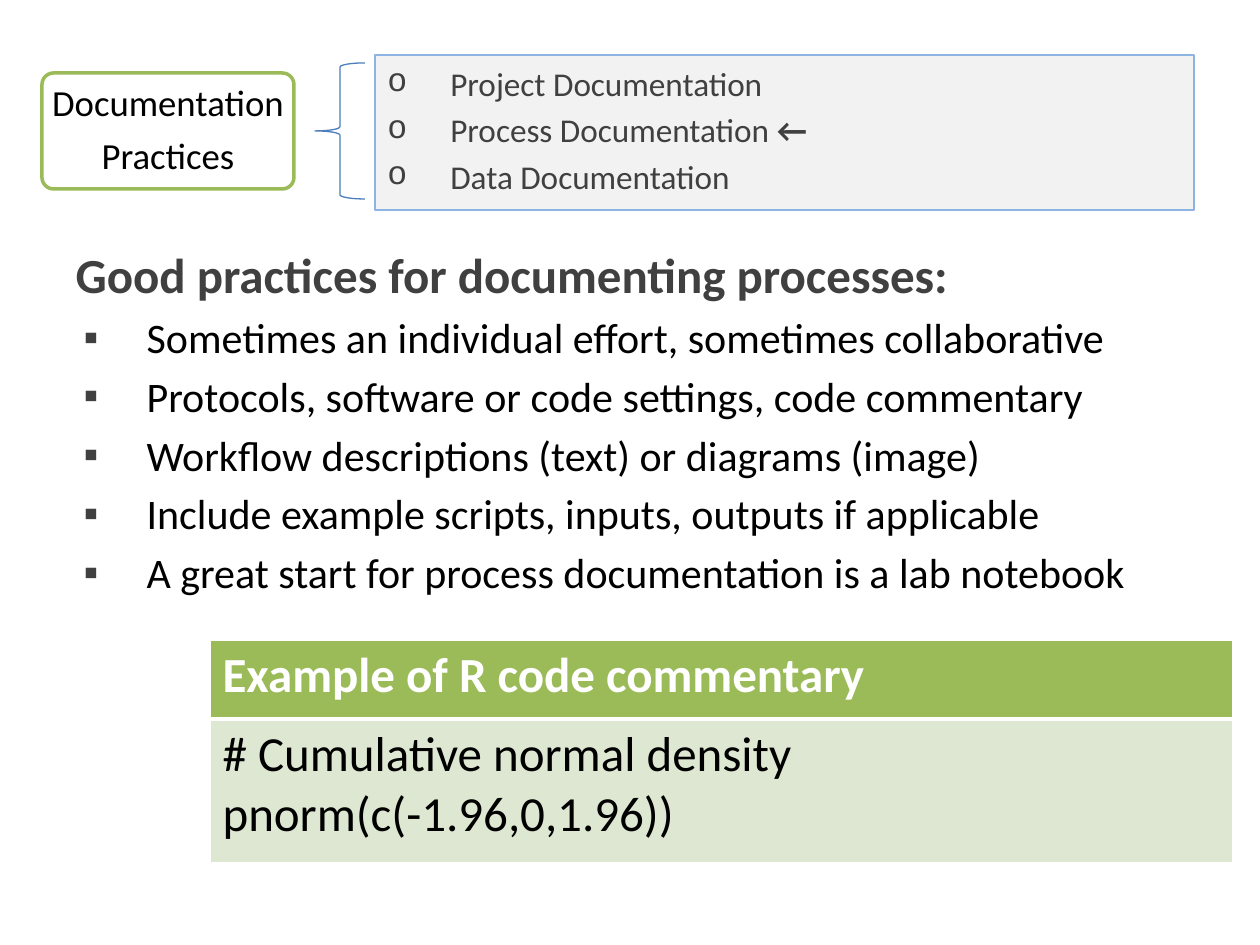
from dataclasses import dataclass

from lxml import etree
from pptx import Presentation
from pptx import util as u
from pptx.dml.color import RGBColor
from pptx.enum import shapes, text
from pptx.oxml.ns import qn

EMU_PER_PX = 914400 / 126


@dataclass(frozen=True)
class Theme:
    font: str = "Calibri"
    black: str = "000000"
    white: str = "FFFFFF"
    gray: str = "404040"
    pale_gray: str = "F2F2F2"
    green: str = "9BBB59"
    pale_green: str = "DEE7D1"
    blue: str = "4B7EBC"
    pale_blue: str = "8EB4E3"
    heading: int = 28
    body: int = 24
    topic: int = 21
    outline: int = 19


THEME = Theme()


def px(value):
    return u.Emu(round(value * EMU_PER_PX))


def rgb(color):
    return RGBColor.from_string(color)


def write(paragraph, words, size, color=THEME.black, bold=False):
    """Append one formatted run to a paragraph."""
    run = paragraph.add_run()
    run.text = words
    font = run.font
    font.name, font.size, font.bold = THEME.font, u.Pt(size), bold
    font.color.rgb = rgb(color)


def set_bullet(paragraph, character=None, font="Arial", margin=0, hanging=0):
    """Give a paragraph a hanging bullet, or none."""
    properties = paragraph._p.get_or_add_pPr()
    properties.set("marL", str(px(margin)))
    properties.set("indent", str(-px(hanging)))
    if character is None:
        etree.SubElement(properties, qn("a:buNone"))
        return
    bullet_color = etree.SubElement(properties, qn("a:buClr"))
    etree.SubElement(bullet_color, qn("a:srgbClr"), val=THEME.gray)
    etree.SubElement(properties, qn("a:buFont"), typeface=font)
    etree.SubElement(properties, qn("a:buChar"), char=character)


def add_lines(frame, lines, gap=0, align=text.PP_ALIGN.LEFT, spacing=1.0,
              bullet=None, **run_format):
    """Write one paragraph per line, with a gap between them."""
    for line in lines:
        is_first = not frame.paragraphs[0].runs
        paragraph = frame.paragraphs[0] if is_first else frame.add_paragraph()
        set_bullet(paragraph, **(bullet or {}))
        paragraph.alignment = align
        paragraph.line_spacing = spacing
        paragraph.space_before = u.Pt(0 if is_first else gap)
        write(paragraph, line, **run_format)


def add_shape(slide, kind, box, line, width, fill=None):
    shape = slide.shapes.add_shape(kind, *map(px, box))
    shape.shadow.inherit = False
    if fill:
        shape.fill.solid()
        shape.fill.fore_color.rgb = rgb(fill)
    else:
        shape.fill.background()
    shape.line.color.rgb = rgb(line)
    shape.line.width = u.Pt(width)
    shape.text_frame.word_wrap = True
    shape.text_frame.vertical_anchor = text.MSO_ANCHOR.MIDDLE
    return shape


def add_practices(slide):
    body = slide.placeholders[1]
    body.left, body.top, body.width, body.height = map(px, (63, 238, 1134, 606))
    frame = body.text_frame
    frame.auto_size = text.MSO_AUTO_SIZE.NONE
    add_lines(frame, ["Good practices for documenting processes:"],
              size=THEME.heading, color=THEME.gray, bold=True)
    add_lines(frame, [
        "Sometimes an individual effort, sometimes collaborative",
        "Protocols, software or code settings, code commentary",
        "Workflow descriptions (text) or diagrams (image)",
        "Include example scripts, inputs, outputs if applicable",
        "A great start for process documentation is a lab notebook",
    ], gap=4.8, size=THEME.body,
        bullet={"character": "▪", "margin": 71, "hanging": 63})


def add_outline(slide):
    add_shape(slide, shapes.MSO_SHAPE.LEFT_BRACE, (315, 63, 50, 136),
              THEME.blue, 0.75)
    panel = add_shape(slide, shapes.MSO_SHAPE.RECTANGLE, (375, 55, 819, 155),
                      THEME.pale_blue, 0.75, THEME.pale_gray)
    panel.text_frame.margin_bottom = px(12)
    add_lines(panel.text_frame, ["Project Documentation",
                                 "Process Documentation ",
                                 "Data Documentation"],
              gap=3.8, size=THEME.outline, color=THEME.gray,
              bullet={"character": "o", "font": "Courier New",
                      "margin": 63, "hanging": 63})
    write(panel.text_frame.paragraphs[1], "←", THEME.outline, THEME.gray, True)


def add_topic(slide):
    topic = add_shape(slide, shapes.MSO_SHAPE.ROUNDED_RECTANGLE,
                      (42, 73, 252, 116), THEME.green, 2, THEME.white)
    topic.adjustments[0] = 0.1
    frame = topic.text_frame
    # Narrow margins: the rounded corners already inset the text
    frame.margin_left = frame.margin_right = px(2)
    frame.margin_top = frame.margin_bottom = px(2)
    add_lines(frame, ["Documentation", "Practices"], gap=7.35, spacing=0.9,
              align=text.PP_ALIGN.CENTER, size=THEME.topic)


def format_cell(cell, fill, **border_widths):
    """Draw white borders (points by side), then fill the cell."""
    properties = cell._tc.get_or_add_tcPr()
    for side in "LRTB":
        width = u.Pt(border_widths.get(side, 1))
        line = etree.SubElement(properties, qn(f"a:ln{side}"), w=str(width))
        solid = etree.SubElement(line, qn("a:solidFill"))
        etree.SubElement(solid, qn("a:srgbClr"), val=THEME.white)
    cell.fill.solid()
    cell.fill.fore_color.rgb = rgb(fill)


def add_code_table(slide):
    table = slide.shapes.add_table(2, 1, *map(px, (210, 640, 1023, 223))).table
    table.rows[0].height, table.rows[1].height = px(79), px(144)
    header, code = table.cell(0, 0), table.cell(1, 0)
    format_cell(header, THEME.green, B=3)
    format_cell(code, THEME.pale_green, T=3)
    add_lines(header.text_frame, ["Example of R code commentary"],
              size=THEME.heading, color=THEME.white, bold=True)
    add_lines(code.text_frame,
              ["# Cumulative normal density", "pnorm(c(-1.96,0,1.96))"],
              size=THEME.heading)


def main():
    presentation = Presentation()
    presentation.slide_width, presentation.slide_height = px(1260), px(945)
    slide = presentation.slides.add_slide(presentation.slide_layouts[1])

    # The heading belongs to the body, so the title is not needed
    title = slide.shapes.title._element
    title.getparent().remove(title)

    add_practices(slide)
    add_outline(slide)
    add_code_table(slide)
    add_topic(slide)
    presentation.save("out.pptx")


if __name__ == "__main__":
    main()
